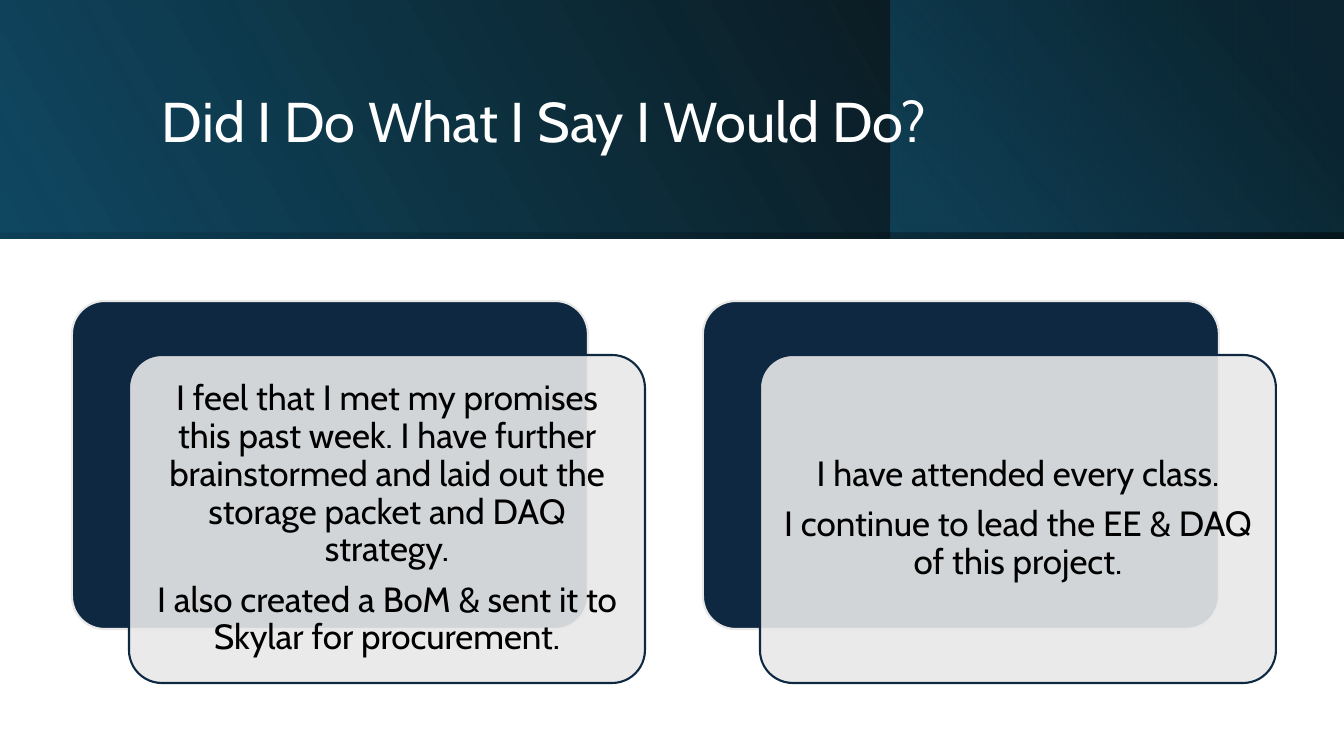
import pptx
import pptx.util
import pptx.dml.color
import pptx.enum.shapes
import pptx.enum.text
import pptx.oxml.ns

SCALE = 914400 / 100.8
WIDE, HIGH = 1344, 756
COLORS = {"white": "FFFFFF", "black": "000000", "navy": "0E2841", "gray": "E8E8E8",
          "blue": "104862", "deep": "0B3041", "teal": "156082"}
KIND = pptx.enum.shapes.MSO_SHAPE
ALIGN = pptx.enum.text.PP_ALIGN
CARDS = [
    ["I feel that I met my promises this past week. I have further brainstormed "
     "and laid out the storage packet and DAQ strategy.",
     "I also created a BoM & sent it to Skylar for procurement."],
    ["I have attended every class.",
     "I continue to lead the EE & DAQ of this project."],
]


def px(*sizes):
    return [round(size * SCALE) for size in sizes]


def rgb(name):
    return pptx.dml.color.RGBColor.from_string(COLORS[name])


def fade(color, alpha):
    """Give a colour element its opacity in percent."""
    tag = pptx.oxml.ns.qn("a:alpha")
    color.makeelement(tag)
    color.append(color.makeelement(tag, {"val": str(alpha * 1000)}))


def style(thing, values):
    for name, value in values.items():
        setattr(thing, name, value)


def shade(slide, box, stops, angle, turn=0):
    """Mirrored rectangle with a two-stop gradient."""
    shape = slide.shapes.add_shape(KIND.RECTANGLE, *px(*box))
    style(shape, {"rotation": turn})
    shape.shadow.inherit = False
    shape.line.fill.background()
    shape.fill.gradient()
    shape.fill.gradient_angle = angle
    for stop, (place, name, alpha) in zip(shape.fill.gradient_stops, stops):
        stop.position = place / 100
        stop.color.rgb = rgb(name)
    props = shape._element.spPr
    props.find(pptx.oxml.ns.qn("a:xfrm")).set("flipH", "1")
    colors = props.iter(pptx.oxml.ns.qn("a:srgbClr"))
    for color, (place, name, alpha) in zip(list(colors), stops):
        fade(color, alpha)


def words(slide, box, lines, size, name, form):
    """Text box centred top to bottom."""
    frame = slide.shapes.add_textbox(*px(*box)).text_frame
    inset = px(10)[0]
    style(frame, {"word_wrap": True, "margin_left": inset, "margin_right": inset,
                  "margin_top": inset, "margin_bottom": inset,
                  "vertical_anchor": pptx.enum.text.MSO_ANCHOR.MIDDLE})
    for spot, line in enumerate(lines):
        para = frame.add_paragraph() if spot else frame.paragraphs[0]
        style(para, {"line_spacing": 0.9, **form})
        run = para.add_run()
        run.text = line
        style(run.font, {"name": "Cabin", "size": pptx.util.Pt(size)})
        run.font.color.rgb = rgb(name)


def banner(slide, x, y, w, h):
    """Layered header band and its title."""
    shade(slide, (x, y, w, h), [(0, "black", 96), (100, "blue", 100)], 330)
    shade(slide, (x + 891, y, w - 891, h), [(19, "deep", 68), (100, "teal", 48)], 320)
    shift = (w - h) / 2
    shade(slide, (x + shift, y - shift, h, w),
          [(23, "blue", 16), (99, "black", 45)], 350, 270)
    words(slide, (x + 152, y + 38, 1072, 173), ["Did I Do What I Say I Would Do?"],
          40, "white", {"alignment": ALIGN.LEFT})


def panel(slide, box, fill, line):
    shape = slide.shapes.add_shape(KIND.ROUNDED_RECTANGLE, *px(*box))
    shape.shadow.inherit = False
    shape.adjustments[0] = 0.1
    shape.fill.solid()
    shape.fill.fore_color.rgb = rgb(fill)
    shape.line.color.rgb = rgb(line)
    shape.line.width = pptx.util.Pt(1.5)
    return shape


def card(slide, x, y, w, h, lines):
    """Navy panel behind, translucent panel in front, text on top."""
    dx, dy, pad = 57, 54, 10
    panel(slide, (x, y, w, h), "navy", "gray")
    front = panel(slide, (x + dx, y + dy, w, h), "gray", "navy")
    fade(next(front._element.spPr.iter(pptx.oxml.ns.qn("a:srgbClr"))), 90)
    words(slide, (x + dx + pad, y + dy + pad, w - 2 * pad, h - 2 * pad), lines,
          25, "black", {"alignment": ALIGN.CENTER, "space_after": pptx.util.Pt(8.75)})


def main():
    deck = pptx.Presentation()
    deck.slide_width, deck.slide_height = px(WIDE, HIGH)
    slide = deck.slides.add_slide(deck.slide_layouts[6])
    banner(slide, 0, 0, WIDE, 239)
    for spot, lines in enumerate(CARDS):
        card(slide, 72 + 631 * spot, 301, 516, 328, lines)
    deck.save("out.pptx")


if __name__ == "__main__":
    main()
